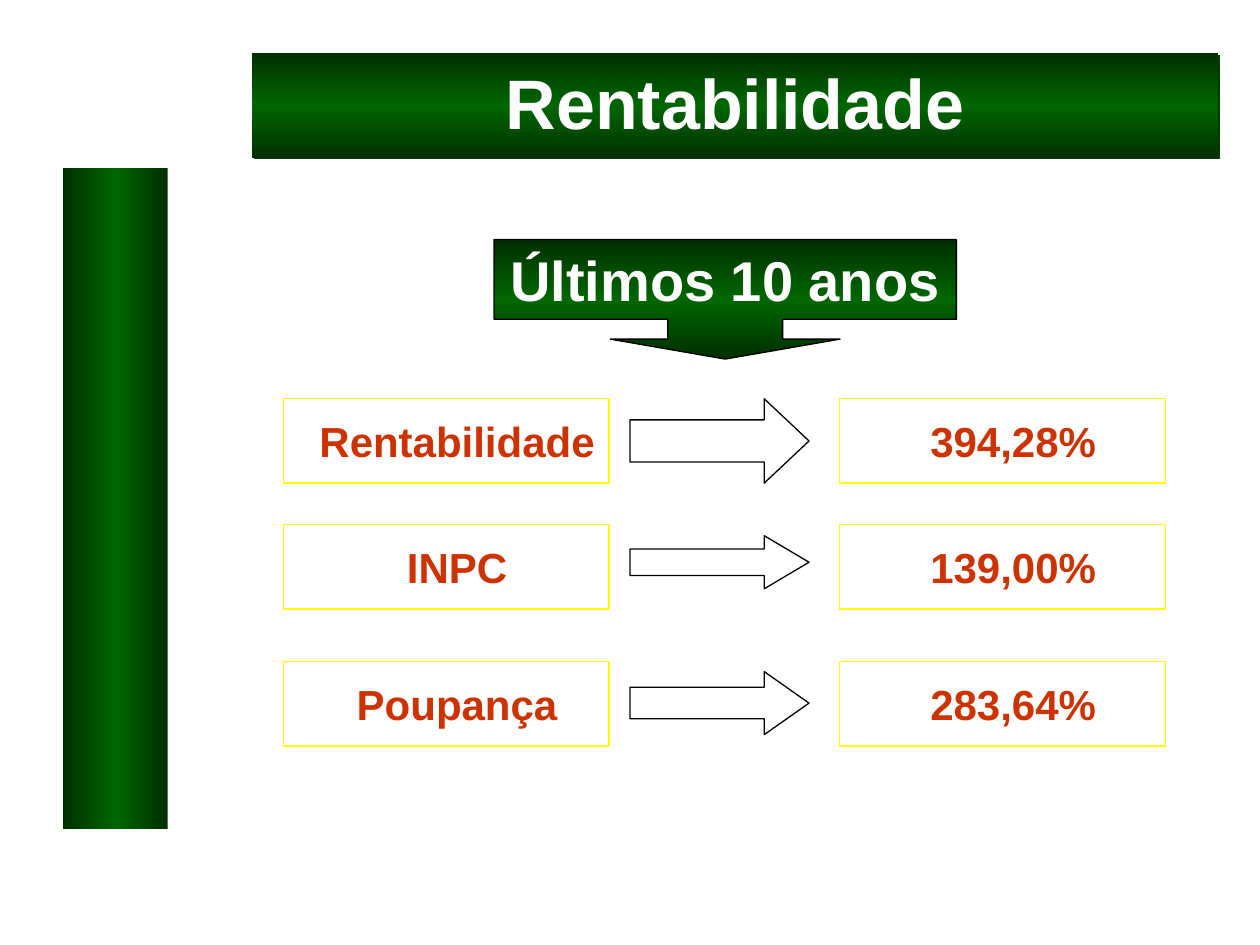
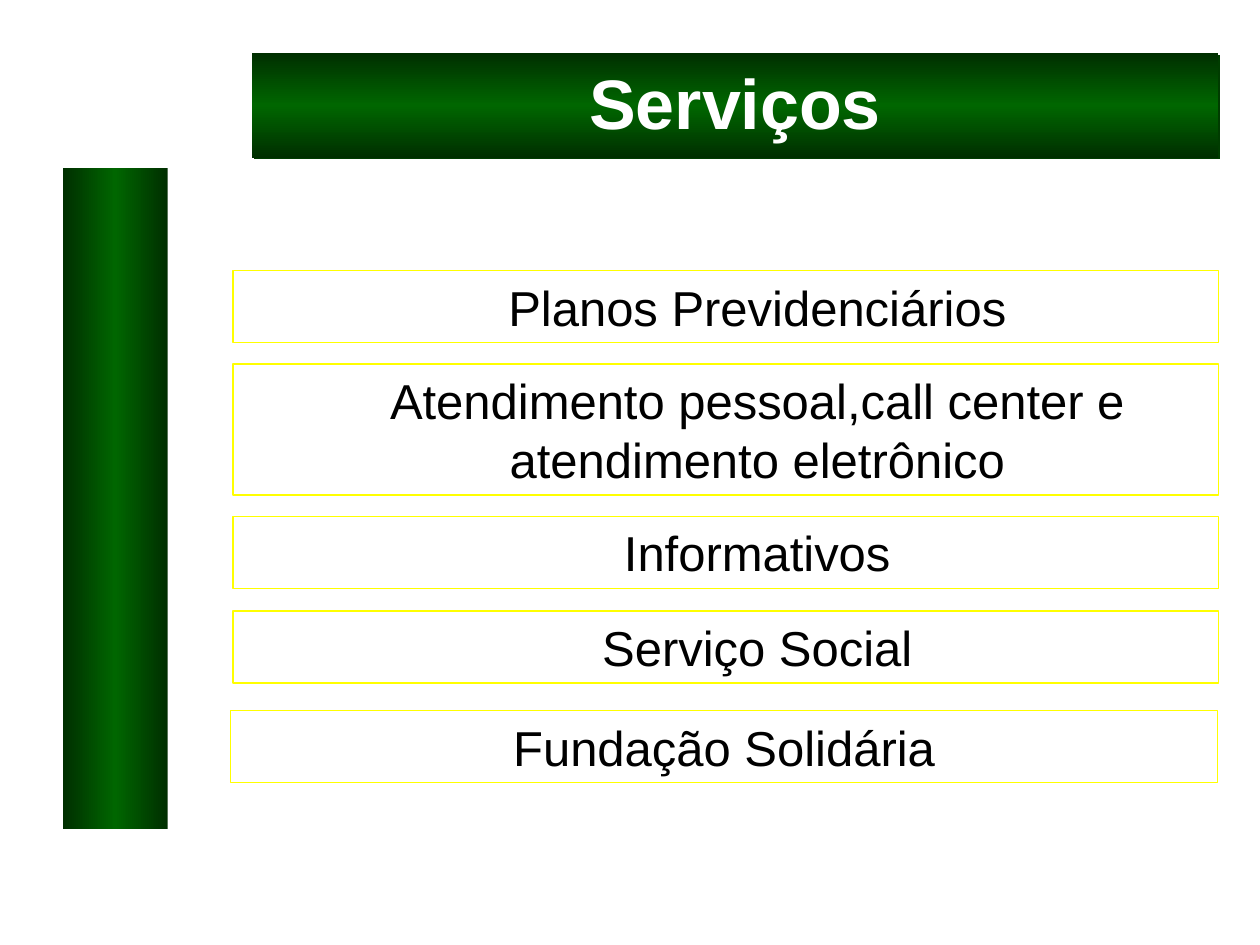
from lxml.etree import SubElement
from pptx import Presentation
from pptx.dml.color import RGBColor
from pptx.enum.shapes import MSO_SHAPE as Shape
from pptx.enum.text import MSO_ANCHOR as Anchor, MSO_AUTO_SIZE as AutoSize, PP_ALIGN as Align
from pptx.oxml.ns import qn
from pptx.util import Cm, Pt

FONT = "Arial"
DARK_GREEN, GREEN, SHADOW_GREEN = "002F00", "006600", "003C00"
WHITE, BLACK, YELLOW, RED = "FFFFFF", "000000", "FFFF00", "CC3300"
BANNER = (5.08, 1.07, 19.48, 2.11)
SIDEBAR = (1.27, 3.38, 2.11, 13.34)


def rgb(color):
    return RGBColor.from_string(color)


def add_shadow(effects, color):
    shadow = SubElement(effects, qn("a:outerShdw"), blurRad="0", dist=str(Pt(1.4)),
                        dir=str(45 * 60000), algn="ctr", rotWithShape="0")
    SubElement(shadow, qn("a:srgbClr"), val=color)


class Deck:
    def __init__(self):
        self.prs = Presentation()
        self.prs.slide_width, self.prs.slide_height = Cm(25.4), Cm(19.05)
        self.layout = self.prs.slide_layouts[5]
        self.slide = None

    def new_slide(self, title):
        first = self.slide is None
        self.slide = self.prs.slides.add_slide(self.layout)
        if first:
            self.add_sidebar()
        banner = self.shape(Shape.RECTANGLE, *BANNER, gradient=90)
        add_shadow(banner.element.spPr.find(qn("a:effectLst")), SHADOW_GREEN)

        # Title placeholder, brought in front of the banner
        s = self.slide.shapes.title
        banner.element.addnext(s.element)
        left, top, width, _ = BANNER
        s.left, s.top, s.width, s.height = Cm(left), Cm(top), Cm(width), Cm(1.96)
        r = self.text(s, title, 40, WHITE, bold=True)
        effects = r.font._element.find(qn("a:solidFill"))
        holder = SubElement(r.font._element, qn("a:effectLst"))
        effects.addnext(holder)
        add_shadow(holder, BLACK)

    def add_sidebar(self):
        """The sidebar belongs to the layout, so every slide shows it."""
        bar = self.shape(Shape.RECTANGLE, *SIDEBAR, gradient=0)
        bar.element.nvSpPr.cNvPr.id = 20
        self.layout.shapes.element.append(bar.element)

    def shape(self, kind, left, top, width, height, line=None, gradient=None, adj=()):
        s = self.slide.shapes.add_shape(kind, Cm(left), Cm(top), Cm(width), Cm(height))
        s.shadow.inherit = False
        for i, value in enumerate(adj):
            s.adjustments[i] = value
        if line:
            s.line.color.rgb = rgb(line)
            s.line.width = Pt(0.75)
        else:
            s.line.fill.background()
        if gradient is None:
            s.fill.background()
        else:
            s.fill.gradient()
            s.fill.gradient_angle = gradient
            stops = s.element.spPr.find(qn("a:gradFill")).find(qn("a:gsLst"))
            stops.clear()
            for pos, color in ((0, DARK_GREEN), (50, GREEN), (100, DARK_GREEN)):
                stop = SubElement(stops, qn("a:gs"), pos=str(pos * 1000))
                SubElement(stop, qn("a:srgbClr"), val=color)
        return s

    def text(self, s, words, size, color, bold=False, anchor=Anchor.TOP, spacing=0, indent=0):
        tf = s.text_frame
        tf.word_wrap = True
        tf.auto_size = AutoSize.SHAPE_TO_FIT_TEXT
        tf.vertical_anchor = anchor
        p = tf.paragraphs[0]
        p.alignment = Align.CENTER
        p.space_before = p.space_after = Pt(spacing)
        if indent:
            p.level = 1
            pPr = p._p.get_or_add_pPr()
            pPr.set("marL", str(Cm(indent)))
            pPr.set("indent", "0")
        r = p.add_run()
        r.text = words
        r.font.name, r.font.size, r.font.bold = FONT, Pt(size), bold
        r.font.color.rgb = rgb(color)
        return r

    def label_box(self, left, top, words):
        self.shape(Shape.RECTANGLE, left, top, 6.56, 1.7, line=YELLOW)
        s = self.slide.shapes.add_textbox(Cm(left + 0.42), Cm(top + 0.21), Cm(6.15), Cm(1.27))
        self.text(s, words, 24, RED, bold=True)

    def arrow(self, top, height):
        width = 3.61
        self.shape(Shape.RIGHT_ARROW, 12.7, top, width, height, line=BLACK,
                   adj=(0.5, width / 4 / height))


def build_returns(deck):
    deck.new_slide("Rentabilidade")
    # Period callout
    s = deck.shape(Shape.DOWN_ARROW_CALLOUT, 9.96, 4.83, 9.32, 2.41, line=BLACK,
                   gradient=90, adj=(0.961, 0.961, 0.167, 0.667))
    deck.text(s, "Últimos 10 anos", 32, WHITE, bold=True, anchor=Anchor.MIDDLE)
    # One row per index: name, arrow, return
    rows = [
        ("Rentabilidade", "394,28%", 8.04, 8.04, 1.7),
        ("INPC", "139,00%", 10.58, 10.8, 1.07),
        ("Poupança", "283,64%", 13.34, 13.54, 1.27),
    ]
    for name, value, top, arrow_top, arrow_height in rows:
        deck.label_box(5.72, top, name)
        deck.arrow(arrow_top, arrow_height)
        deck.label_box(16.93, top, value)


def build_services(deck):
    deck.new_slide("Serviços")
    # Indented service boxes
    services = [
        ("Planos Previdenciários", 5.46, 1.45),
        ("Atendimento pessoal,call center e atendimento eletrônico", 7.34, 2.64),
        ("Informativos", 10.41, 1.45),
        ("Serviço Social", 12.32, 1.45),
    ]
    for name, top, height in services:
        s = deck.shape(Shape.RECTANGLE, 4.7, top, 19.86, height, line=YELLOW)
        deck.text(s, name, 28, BLACK, spacing=5, indent=1.27)
    # Closing box, centred without indent
    s = deck.shape(Shape.RECTANGLE, 4.65, 14.33, 19.89, 1.45, line=YELLOW)
    deck.text(s, "Fundação Solidária", 28, BLACK, anchor=Anchor.MIDDLE, spacing=5)


def main():
    deck = Deck()
    build_returns(deck)
    build_services(deck)
    deck.prs.save("out.pptx")


if __name__ == "__main__":
    main()
